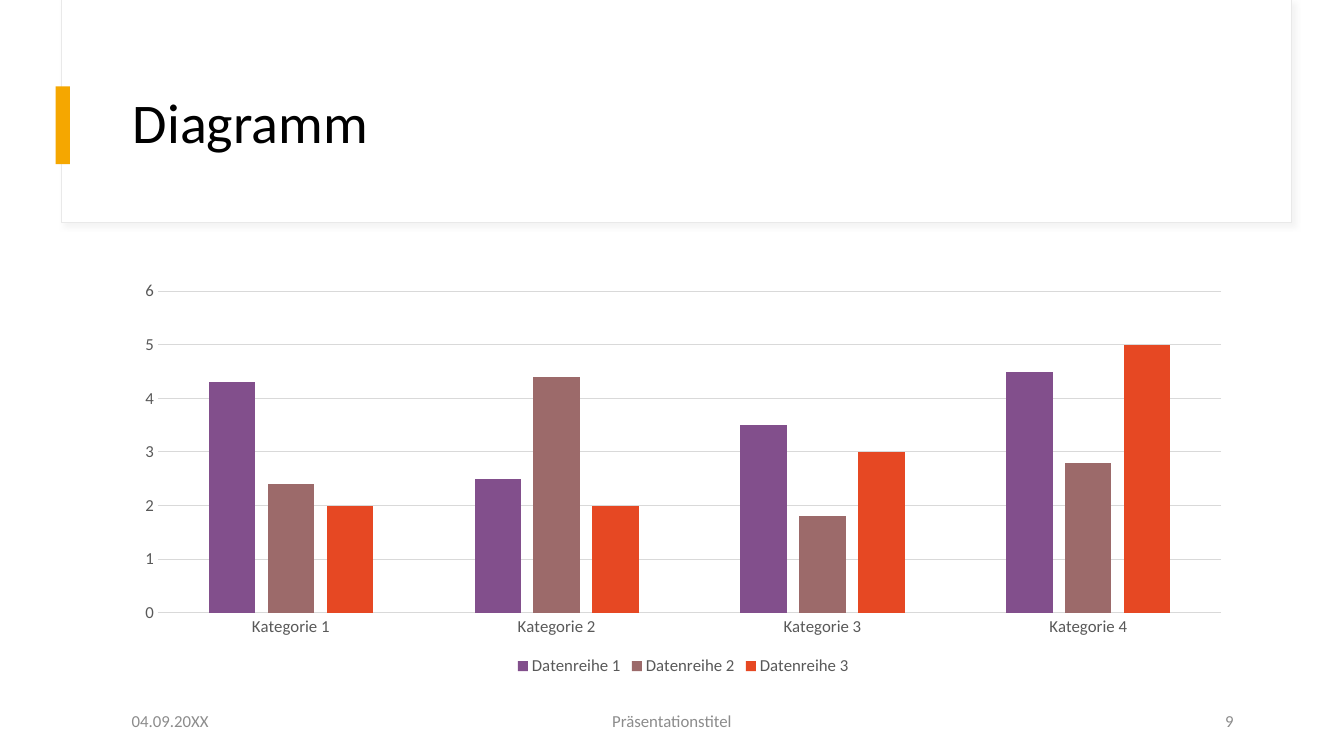
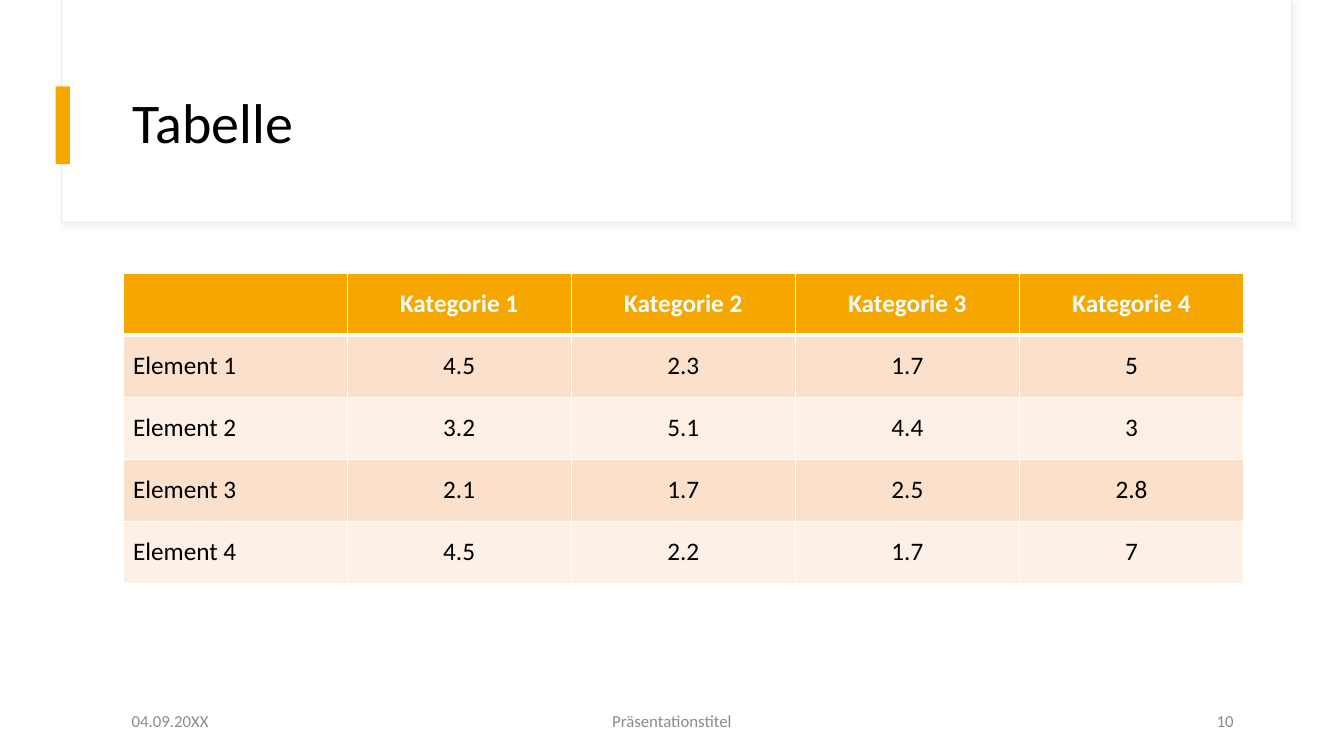
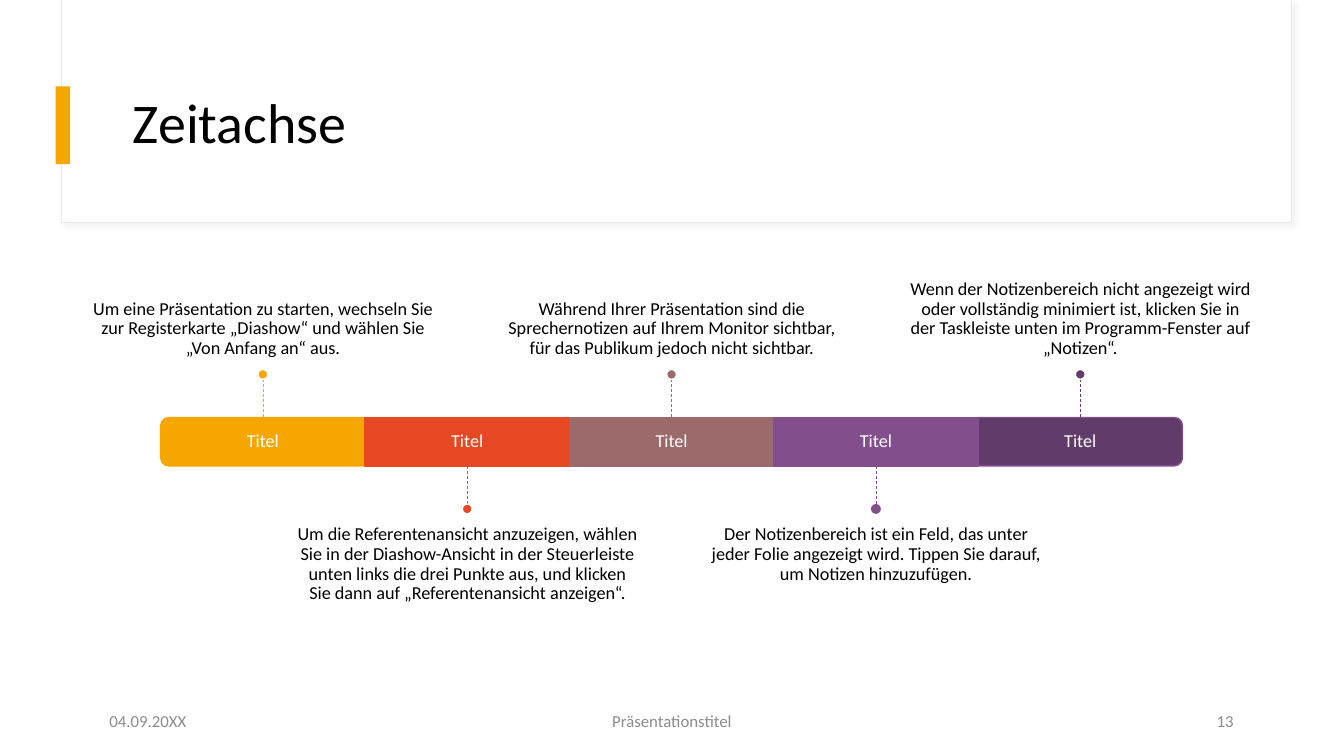
"""Build three slides: a column chart, a table and a timeline."""
from lxml.etree import SubElement
from pptx import Presentation
from pptx.chart.data import CategoryChartData
from pptx.dml.color import RGBColor
from pptx.enum.chart import XL_CHART_TYPE as CHART, XL_LEGEND_POSITION as LEGEND, XL_TICK_MARK as TICK
from pptx.enum.dml import MSO_LINE
from pptx.enum.shapes import MSO_CONNECTOR as CONNECTOR, MSO_SHAPE as SHAPE
from pptx.enum.text import MSO_ANCHOR as ANCHOR, PP_ALIGN as ALIGN
from pptx.oxml.ns import qn
from pptx.util import Cm, Pt

FONT = "Calibri"
COLORS = {
    "white": "FFFFFF",
    "black": "000000",
    "gold": "F5A700",
    "orange": "E64823",
    "rose": "9C6A6A",
    "violet": "824F8C",
    "plum": "613B69",
    "band line": "E9E9E9",
    "grid": "D9D9D9",
    "axis text": "595959",
    "footer": "8C8C8C",
    "row odd": "FBE1CC",
    "row even": "FDF1E7",
}
CONTENT_LEFT, CONTENT_TOP, CONTENT_WIDTH = 3.1, 6.88, 28.24

CATEGORIES = [f"Kategorie {number}" for number in range(1, 5)]
SERIES = [
    ("Datenreihe 1", (4.3, 2.5, 3.5, 4.5), "violet"),
    ("Datenreihe 2", (2.4, 4.4, 1.8, 2.8), "rose"),
    ("Datenreihe 3", (2, 2, 3, 5), "orange"),
]
TABLE_ROWS = [
    ("", *CATEGORIES),
    ("Element 1", "4.5", "2.3", "1.7", "5"),
    ("Element 2", "3.2", "5.1", "4.4", "3"),
    ("Element 3", "2.1", "1.7", "2.5", "2.8"),
    ("Element 4", "4.5", "2.2", "1.7", "7"),
]
MILESTONES = [
    ("gold", "Um eine Präsentation zu starten, wechseln Sie zur Registerkarte „Diashow“ "
             "und wählen Sie „Von Anfang an“ aus."),
    ("orange", "Um die Referentenansicht anzuzeigen, wählen Sie in der Diashow-Ansicht in der "
               "Steuerleiste unten links die drei Punkte aus, und klicken Sie dann auf "
               "„Referentenansicht anzeigen“."),
    ("rose", "Während Ihrer Präsentation sind die Sprechernotizen auf Ihrem Monitor sichtbar, "
             "für das Publikum jedoch nicht sichtbar."),
    ("violet", "Der Notizenbereich ist ein Feld, das unter jeder Folie angezeigt wird. "
               "Tippen Sie darauf, um Notizen hinzuzufügen."),
    ("plum", "Wenn der Notizenbereich nicht angezeigt wird oder vollständig minimiert ist, "
             "klicken Sie in der Taskleiste unten im Programm-Fenster auf „Notizen“."),
]


def color(name):
    """Return the named colour."""
    return RGBColor.from_string(COLORS[name])


def set_font(font, size, color_name, bold=False):
    """Format a font."""
    font.name, font.size, font.bold = FONT, Pt(size), bold
    font.color.rgb = color(color_name)


def set_line(line, color_name, width):
    """Format a line or outline."""
    line.color.rgb = color(color_name)
    line.width = Pt(width)


def add_text(slide, text, box, size=12, color_name="black", align=ALIGN.LEFT,
             anchor=ANCHOR.MIDDLE, spacing=1.0, insets=(0.25, 0.13, 0.25, 0.13)):
    """Add a wrapped text box; box is left, top, width and height in cm."""
    frame = slide.shapes.add_textbox(*map(Cm, box)).text_frame
    frame.word_wrap = True
    frame.vertical_anchor = anchor
    frame.margin_left, frame.margin_top, frame.margin_right, frame.margin_bottom = map(Cm, insets)
    paragraph = frame.paragraphs[0]
    paragraph.alignment = align
    paragraph.line_spacing = spacing
    run = paragraph.add_run()
    run.text = text
    set_font(run.font, size, color_name)


def add_shape(slide, kind, box, fill, outline=None, width=1):
    """Add a filled preset shape without shadow."""
    shape = slide.shapes.add_shape(kind, *map(Cm, box))
    shape.shadow.inherit = False
    shape.fill.solid()
    shape.fill.fore_color.rgb = color(fill)
    if outline:
        set_line(shape.line, outline, width)
    else:
        shape.line.fill.background()
    return shape


def add_soft_shadow(shape):
    """Give a shape a faint shadow to the lower right."""
    effects = shape.element.spPr.find(qn("a:effectLst"))
    shadow = SubElement(effects, qn("a:outerShdw"), blurRad=str(Pt(4)), dist=str(Pt(3)),
                        dir="2700000", algn="tl", rotWithShape="0")
    tint = SubElement(shadow, qn("a:srgbClr"), val=COLORS["grid"])
    SubElement(tint, qn("a:alpha"), val="30000")


def add_dashed_line(slide, x, top, bottom, color_name):
    """Add a thin vertical dashed line."""
    connector = slide.shapes.add_connector(CONNECTOR.STRAIGHT, Cm(x), Cm(top), Cm(x), Cm(bottom))
    set_line(connector.line, color_name, 0.5)
    connector.line.dash_style = MSO_LINE.DASH
    SubElement(connector.element.spPr, qn("a:effectLst"))


def add_base_slide(presentation, title, number, date_left=3.07):
    """Add a slide with title band, accent bar, title and footer."""
    slide = presentation.slides.add_slide(presentation.slide_layouts[6])
    band = add_shape(slide, SHAPE.RECTANGLE, (1.55, 0, 31.01, 5.61), "white", "band line", 0.75)
    add_soft_shadow(band)
    add_shape(slide, SHAPE.RECTANGLE, (1.4, 2.18, 0.36, 1.96), "gold")
    add_text(slide, title, (CONTENT_LEFT, 1.52, CONTENT_WIDTH, 3.28), size=40, spacing=0.9)
    footers = [
        ("04.09.20XX", date_left, 7.62, ALIGN.LEFT),
        ("Präsentationstitel", 11.22, 11.43, ALIGN.CENTER),
        (str(number), 23.72, 7.62, ALIGN.RIGHT),
    ]
    for text, left, width, align in footers:
        add_text(slide, text, (left, 17.65, width, 1.02), color_name="footer", align=align)
    return slide


def add_column_chart(slide):
    """Add the clustered column chart."""
    data = CategoryChartData()
    data.categories = CATEGORIES
    for name, values, _ in SERIES:
        data.add_series(name, values)
    box = map(Cm, (CONTENT_LEFT, CONTENT_TOP, CONTENT_WIDTH, 10.26))
    chart = slide.shapes.add_chart(CHART.COLUMN_CLUSTERED, *box, data).chart
    set_font(chart.font, 12, "axis text")
    chart.has_title = False
    chart.has_legend = True
    chart.legend.position = LEGEND.BOTTOM
    chart.legend.include_in_layout = False
    set_font(chart.legend.font, 12, "axis text")
    plot = chart.plots[0]
    plot.gap_width, plot.overlap, plot.vary_by_categories = 219, -27, False
    for series, (_, _, color_name) in zip(plot.series, SERIES):
        series.format.fill.solid()
        series.format.fill.fore_color.rgb = color(color_name)
    for axis in (chart.category_axis, chart.value_axis):
        axis.major_tick_mark = axis.minor_tick_mark = TICK.NONE
        set_font(axis.tick_labels.font, 12, "axis text")
    set_line(chart.category_axis.format.line, "grid", 0.75)
    value_axis = chart.value_axis
    value_axis.minimum_scale, value_axis.maximum_scale, value_axis.major_unit = 0, 6, 1
    value_axis.format.line.fill.background()
    set_line(value_axis.major_gridlines.format.line, "grid", 0.75)


def set_cell_borders(cell, **widths):
    """Draw white cell borders; widths in points by side letter."""
    properties = cell._tc.get_or_add_tcPr()
    for side in "LRTB":
        line = SubElement(properties, qn(f"a:ln{side}"), w=str(Pt(widths.get(side, 1))))
        fill = SubElement(line, qn("a:solidFill"))
        SubElement(fill, qn("a:srgbClr"), val=COLORS["white"])


def add_value_table(slide):
    """Add the table with its header row and banded rows."""
    box = map(Cm, (CONTENT_LEFT, CONTENT_TOP, CONTENT_WIDTH, 7.82))
    table = slide.shapes.add_table(len(TABLE_ROWS), len(TABLE_ROWS[0]), *box).table
    table.horz_banding = False
    for row, texts in enumerate(TABLE_ROWS):
        header = row == 0
        fill = "gold" if header else "row odd" if row % 2 else "row even"
        for column, text in enumerate(texts):
            cell = table.cell(row, column)
            set_cell_borders(cell, T=3 if row == 1 else 1, B=3 if header else 1)
            cell.fill.solid()
            cell.fill.fore_color.rgb = color(fill)
            cell.vertical_anchor = ANCHOR.MIDDLE
            paragraph = cell.text_frame.paragraphs[0]
            paragraph.alignment = ALIGN.CENTER if column else ALIGN.LEFT
            if text:
                run = paragraph.add_run()
                run.text = text
                set_font(run.font, 18, "white" if header else "black", bold=header)


def add_timeline(slide):
    """Add the timeline bar with callouts alternating above and below."""
    left, top, width, height = 4.05, 10.52, 5.15, 1.22
    dot, stem, callout_width, callout_height = 0.25, 0.96, 8.6, 4.24
    last = len(MILESTONES) - 1
    for index, (color_name, text) in enumerate(MILESTONES):
        segment_left = left + index * width
        center = segment_left + width / 2
        if index in (0, last):
            box = (center - height / 2, top + (height - width) / 2, height, width)
            outline = "violet" if index == last else color_name
            segment = add_shape(slide, SHAPE.ROUND_2_SAME_RECTANGLE, box, color_name, outline)
            segment.rotation = 90 if index == last else 270
        else:
            add_shape(slide, SHAPE.RECTANGLE, (segment_left, top, width, height),
                      color_name, color_name)
        add_text(slide, "Titel", (segment_left, top, width, height), size=13,
                 color_name="white", align=ALIGN.CENTER, spacing=0.9, insets=(0.28,) * 4)
        if index % 2:
            line_top = top + height
            dot_top = line_top + stem
            callout_top, anchor, insets = dot_top + dot, ANCHOR.TOP, (0, 0.28, 0, 0)
        else:
            line_top = top - stem
            dot_top = line_top - dot
            callout_top, anchor, insets = dot_top - callout_height, ANCHOR.BOTTOM, (0, 0, 0, 0.28)
        add_text(slide, text, (center - callout_width / 2, callout_top, callout_width, callout_height),
                 size=13, align=ALIGN.CENTER, anchor=anchor, spacing=0.9, insets=insets)
        add_dashed_line(slide, center, line_top, line_top + stem, color_name)
        add_shape(slide, SHAPE.OVAL, (center - dot / 2, dot_top, dot, dot), color_name,
                  None if color_name == "violet" else "white")


def main():
    """Build and save the presentation."""
    presentation = Presentation()
    presentation.slide_width, presentation.slide_height = Cm(33.87), Cm(19.05)
    add_column_chart(add_base_slide(presentation, "Diagramm", 9))
    add_value_table(add_base_slide(presentation, "Tabelle", 10))
    add_timeline(add_base_slide(presentation, "Zeitachse", 13, date_left=2.51))
    presentation.save("out.pptx")


if __name__ == "__main__":
    main()
